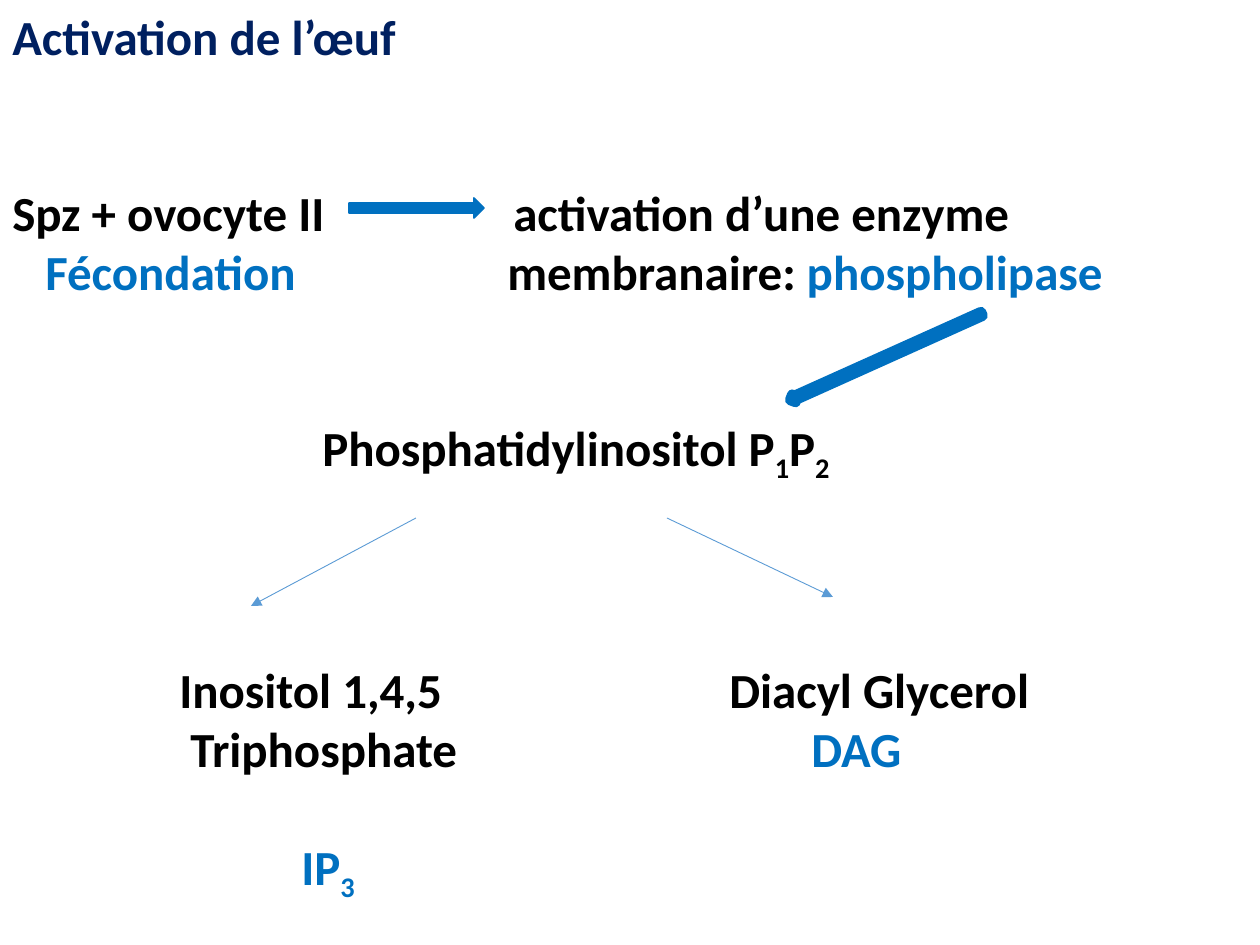
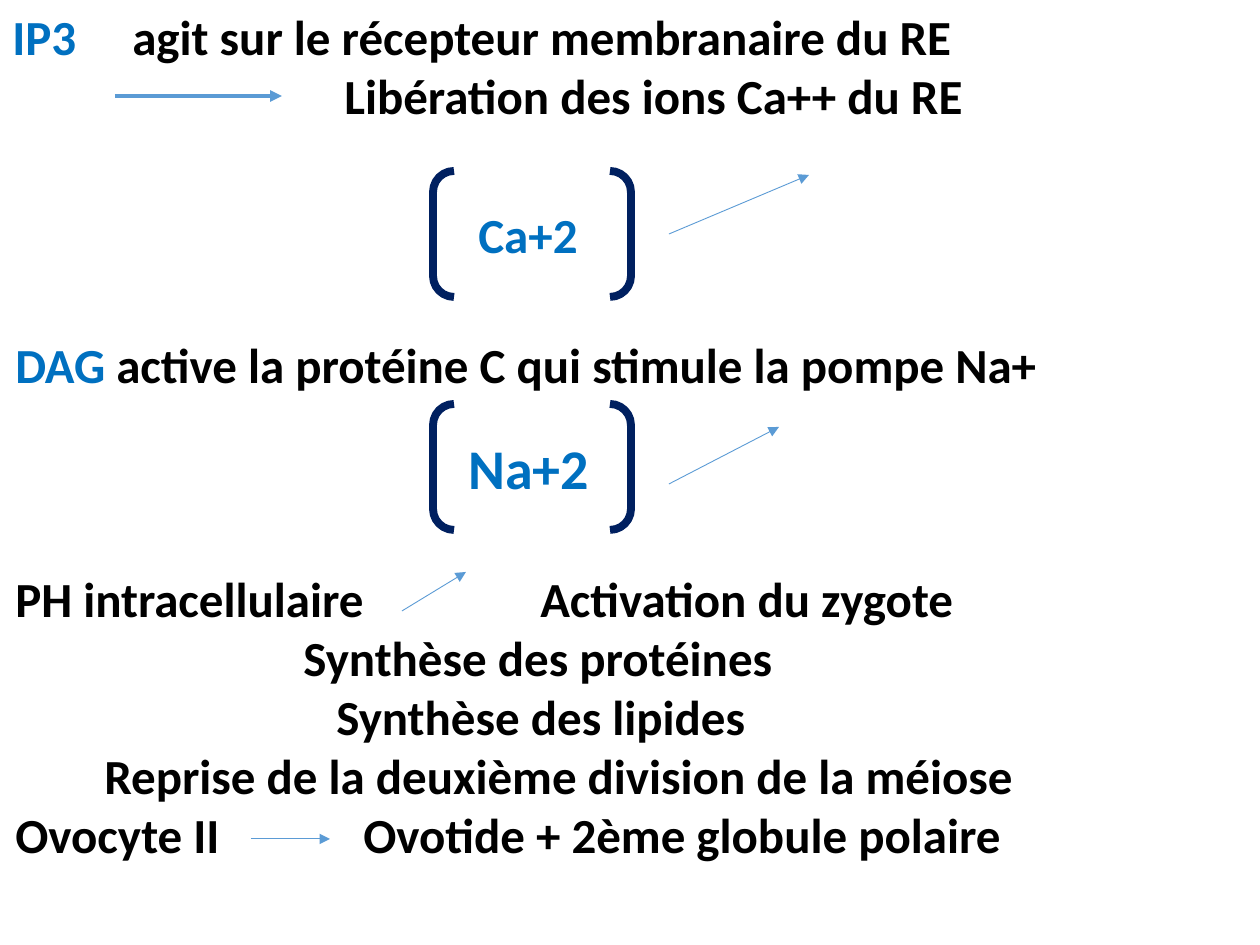
from lxml import etree
from pptx import Presentation
from pptx import util as u
from pptx.dml.color import RGBColor
from pptx.enum import shapes, text
from pptx.oxml.ns import qn

PX = u.Inches(1) // 126
WIDTH, HEIGHT = 1260, 945
BLACK, BLUE, NAVY, RED, LINE_BLUE = "000000", "0070C0", "002060", "FF0000", "5B9BD5"
SUBSCRIPT = "-25000"
LINE_GAP = 33.5  # height of one text line, in points


def colour(code):
    return RGBColor.from_string(code)


def write_lines(page, place, lines, size=28, wrap=True):
    """Each line is (lines skipped before it, tab stops in px, runs)."""
    box = page.shapes.add_textbox(*[v * PX for v in place])
    frame = box.text_frame
    frame.word_wrap = wrap
    frame.vertical_anchor = text.MSO_ANCHOR.TOP
    for number, (skipped, stops, spans) in enumerate(lines):
        para = frame.add_paragraph() if number else frame.paragraphs[0]
        if skipped:
            para.space_before = u.Pt(skipped * LINE_GAP)
        if stops:
            tabs = etree.SubElement(para._p.get_or_add_pPr(), qn("a:tabLst"))
            for stop in stops:
                etree.SubElement(tabs, qn("a:tab"), pos=str(stop * PX), algn="l")
        for words, ink, *baseline in spans:
            span = para.add_run()
            span.text = words
            span.font.name = "Calibri"
            span.font.size = u.Pt(size)
            span.font.bold = True
            span.font.color.rgb = colour(ink)
            if baseline:
                span._r.get_or_add_rPr().set("baseline", baseline[0])


deck = Presentation()
deck.slide_width, deck.slide_height = WIDTH * PX, HEIGHT * PX
activation, effects = [deck.slides.add_slide(deck.slide_layouts[6]) for _ in range(2)]

# Slide 1: from fertilisation to IP3 and DAG
write_lines(activation, (0, 0, WIDTH, HEIGHT), [
    (0, [], [("Activation de l’œuf", NAVY)]),
    (2, [501], [("Spz + ovocyte II\tactivation d’une enzyme", BLACK)]),
    (0, [33, 495], [("\tFécondation", BLUE), ("\tmembranaire: ", BLACK),
                    ("phospholipase", BLUE)]),
    (2, [310], [("\tPhosphatidylinositol P", BLACK), ("1", BLACK, SUBSCRIPT),
                ("P", BLACK), ("2", BLACK, SUBSCRIPT)]),
    (3, [167, 717], [("\tInositol 1,4,5\tDiacyl Glycerol", BLACK)]),
    (0, [178, 799], [("\tTriphosphate", BLACK), ("\tDAG", BLUE)]),
    (1, [289], [("\tIP", BLUE), ("3", BLUE, SUBSCRIPT)]),
])

block_arrows = [
    (shapes.MSO_SHAPE.RIGHT_ARROW, (349, 198, 135, 20), 0, BLUE, 1),
    (shapes.MSO_SHAPE.DOWN_ARROW, (882, 252, 8, 210), 65.8, RED, 6),
]
for kind, place, angle, fill, weight in block_arrows:
    arrow = activation.shapes.add_shape(kind, *[v * PX for v in place])
    arrow.shadow.inherit = False
    arrow.rotation = angle
    arrow.fill.solid()
    arrow.fill.fore_color.rgb = colour(fill)
    arrow.line.color.rgb = colour(BLUE)
    arrow.line.width = u.Pt(weight)

# Slide 2: what IP3 and DAG bring about
write_lines(effects, (0, 0, WIDTH, 131), [
    (0, [120], [("IP3", BLUE), ("\tagit sur le récepteur membranaire du RE", BLACK)]),
    (0, [332], [("\tLibération des ions Ca++ du RE", BLACK)]),
])
write_lines(effects, (3, 328, 1060, 617), [
    (0, [], [("DAG ", BLUE), ("active la protéine C qui stimule la pompe Na+", BLACK)]),
    (3, [525], [("PH intracellulaire\tActivation du zygote", BLACK)]),
    (0, [288], [("\tSynthèse des protéines", BLACK)]),
    (0, [321], [("\tSynthèse des lipides", BLACK)]),
    (0, [89], [("\tReprise de la deuxième division de la méiose", BLACK)]),
    (0, [348], [("Ovocyte II\tOvotide + 2ème globule polaire", BLACK)]),
])

ions = [
    ("Ca+2", 28, 171, (466, 198, 126, 72)),
    ("Na+2", 32, 404, (456, 427, 147, 81)),
]
for ion, size, bracket_top, place in ions:
    bracket = effects.shapes.add_shape(
        shapes.MSO_SHAPE.DOUBLE_BRACKET, 433 * PX, bracket_top * PX, 198 * PX, 126 * PX)
    bracket.shadow.inherit = False
    bracket.fill.background()
    bracket.line.color.rgb = colour(NAVY)
    bracket.line.width = u.Pt(4.5)
    write_lines(effects, place, [(0, [], [(ion, BLUE)])], size, wrap=False)

# Thin arrows of both slides
thin_arrows = [
    (activation, (416, 518, 251, 606), 0.5),
    (activation, (667, 518, 833, 597), 0.5),
    (effects, (115, 96, 282, 96), 2.25),
    (effects, (669, 234, 809, 175), 0.5),
    (effects, (669, 484, 779, 427), 0.5),
    (effects, (402, 611, 466, 572), 0.5),
    (effects, (251, 839, 330, 839), 0.5),
]
for page, ends, weight in thin_arrows:
    arrow = page.shapes.add_connector(
        shapes.MSO_CONNECTOR.STRAIGHT, *[v * PX for v in ends])
    arrow.line.color.rgb = colour(LINE_BLUE)
    arrow.line.width = u.Pt(weight)
    etree.SubElement(arrow.line._get_or_add_ln(), qn("a:tailEnd"), type="triangle")
    etree.SubElement(arrow._element.spPr, qn("a:effectLst"))

deck.save("out.pptx")
